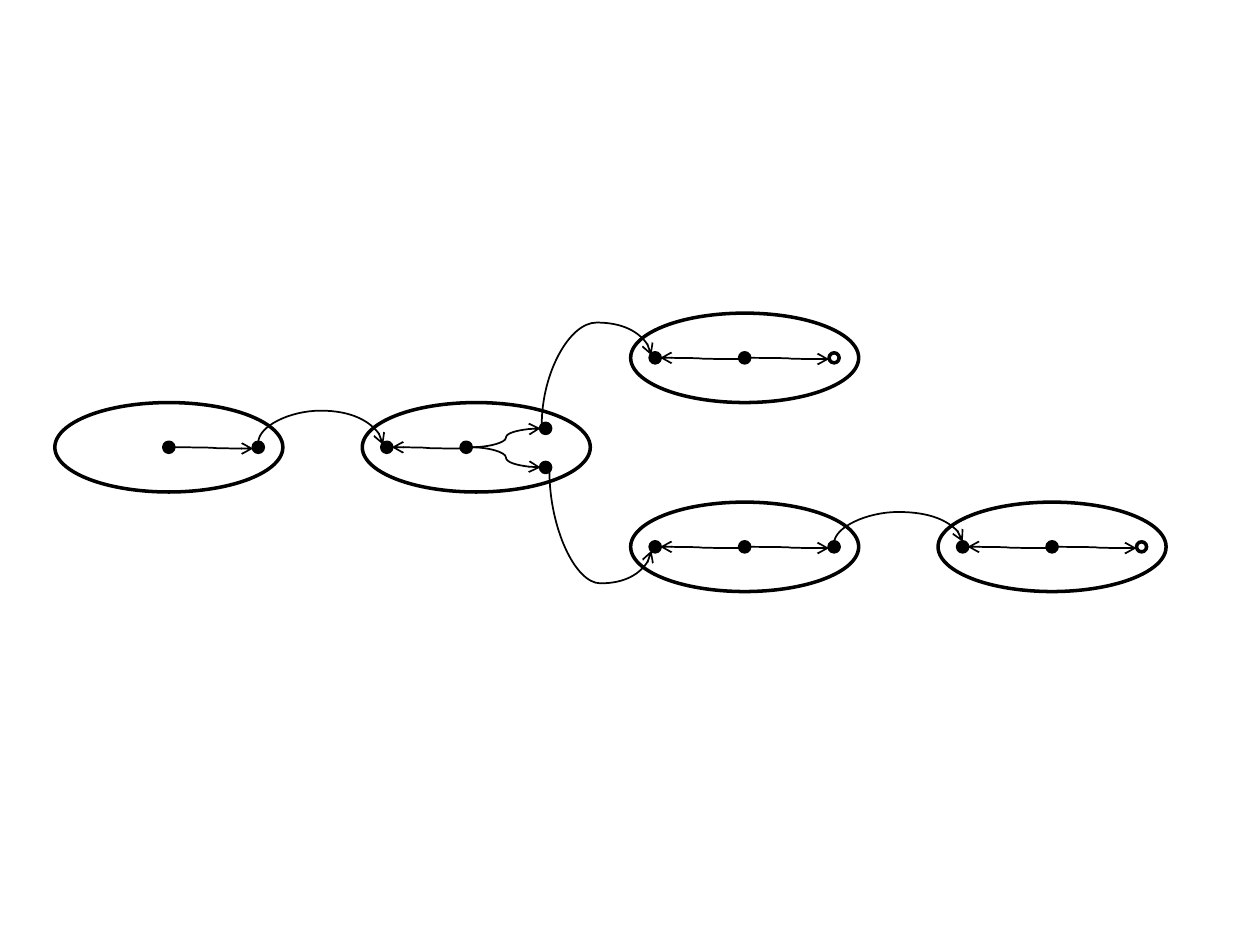
from lxml import etree
from pptx import Presentation
from pptx.dml.color import RGBColor
from pptx.enum.shapes import MSO_CONNECTOR, MSO_SHAPE
from pptx.oxml.ns import qn
from pptx.util import Inches, Pt

OVAL = MSO_SHAPE.OVAL
CURVE = MSO_CONNECTOR.CURVE
BLACK = RGBColor(0x00, 0x00, 0x00)
WHITE = RGBColor(0xFF, 0xFF, 0xFF)

# Grid of cell centres, in inches
PITCH = 2.44
COLUMNS = [1.34, 1.34 + PITCH, 5.91, 5.91 + PITCH]
UPPER, MIDDLE, LOWER = 2.84, 3.55, 4.34

CELL_W, CELL_H = 1.81, 0.71
DOT = 0.08
REACH = 0.71    # from the middle of a cell to its side dots
SAG = 0.01      # small drop along a level link


def add_oval(slide, center, width, height, fill=None):
    x, y = center
    oval = slide.shapes.add_shape(OVAL, Inches(x - width / 2), Inches(y - height / 2),
                                  Inches(width), Inches(height))
    oval.shadow.inherit = False
    oval.line.color.rgb = BLACK
    oval.line.width = Pt(2)
    if fill is None:
        oval.fill.background()
    else:
        oval.fill.solid()
        oval.fill.fore_color.rgb = fill
    return oval


def add_dot(slide, center, fill=BLACK):
    add_oval(slide, center, DOT, DOT, fill)
    return center


def add_link(slide, start, end):
    """Curved arrow that leaves and arrives horizontally."""
    link = slide.shapes.add_connector(CURVE, *(Inches(v) for v in (*start, *end)))
    link.line.color.rgb = BLACK
    link.line.width = Pt(1)
    etree.SubElement(link.line._get_or_add_ln(), qn("a:tailEnd"), type="arrow")
    etree.SubElement(link._element.spPr, qn("a:effectLst"))
    return link


def add_jump(slide, start_dot, end_dot, start_shift, end_shift, turn_y):
    """Curved arrow between cells that turns at the height turn_y."""
    x1, y1 = (a + b for a, b in zip(start_dot, start_shift))
    x2, y2 = (a + b for a, b in zip(end_dot, end_shift))
    rise, run = abs(y2 - y1), abs(x2 - x1)
    jump = add_link(slide, (x1, y1), (x2, y2))

    # Turn the connector a quarter so that it leaves vertically
    jump.left, jump.top = Inches((x1 + x2 - rise) / 2), Inches((y1 + y2 - run) / 2)
    jump.width, jump.height = Inches(rise), Inches(run)
    downward = y2 > y1
    frame = jump._element.spPr.find(qn("a:xfrm"))
    frame.set("rot", str((270 if downward else 90) * 60000))
    frame.set("flipH", "1")
    frame.set("flipV", "0" if downward else "1")

    bend = round((turn_y - y1) / (y2 - y1) * 100000)
    shape_form = jump._element.spPr.find(qn("a:prstGeom"))
    guides = shape_form.find(qn("a:avLst"))
    if guides is None:
        guides = etree.SubElement(shape_form, qn("a:avLst"))
    etree.SubElement(guides, qn("a:gd"), name="adj1", fmla=f"val {bend}")


def add_cell(slide, column, y, middle_shift=0, left=True,
             right=((REACH, 0),), right_fill=BLACK):
    """Cell with linked dots; returns its left dot and its right dots."""
    x = COLUMNS[column]
    add_oval(slide, (x, y), CELL_W, CELL_H)
    middle_x, _ = add_dot(slide, (x + middle_shift, y))
    left_dot = None
    if left:
        left_dot = add_dot(slide, (x - REACH, y))
        add_link(slide, (middle_x - DOT / 2, y + SAG), (left_dot[0] + DOT / 2, y))
    right_dots = []
    for dx, dy in right:
        dot = add_dot(slide, (x + dx, y + dy), right_fill)
        add_link(slide, (middle_x + DOT / 2, y), (dot[0] - DOT / 2, dot[1] + (0 if dy else SAG)))
        right_dots.append(dot)
    return left_dot, right_dots


def main():
    deck = Presentation()
    deck.slide_width, deck.slide_height = Inches(10), Inches(7.5)
    slide = deck.slides.add_slide(deck.slide_layouts[6])

    # Cells
    _, (first_out,) = add_cell(slide, 0, MIDDLE, left=False)
    fork_in, (fork_up, fork_down) = add_cell(
        slide, 1, MIDDLE, middle_shift=-0.08, right=((0.55, -0.15), (0.55, 0.16)))
    upper_in, _ = add_cell(slide, 2, UPPER, right_fill=WHITE)
    lower_in, (lower_out,) = add_cell(slide, 2, LOWER)
    last_in, _ = add_cell(slide, 3, LOWER, right_fill=WHITE)

    # Jumps from cell to cell
    add_jump(slide, first_out, fork_in, (0, -0.04), (-0.03, -0.02), 3.26)
    add_jump(slide, fork_up, upper_in, (-0.03, -0.03), (-0.03, -0.02), 2.56)
    add_jump(slide, fork_down, lower_in, (0.03, 0.03), (-0.03, 0.03), 4.63)
    add_jump(slide, lower_out, last_in, (0, -0.03), (0, -0.04), 4.06)

    deck.save("out.pptx")


if __name__ == "__main__":
    main()
